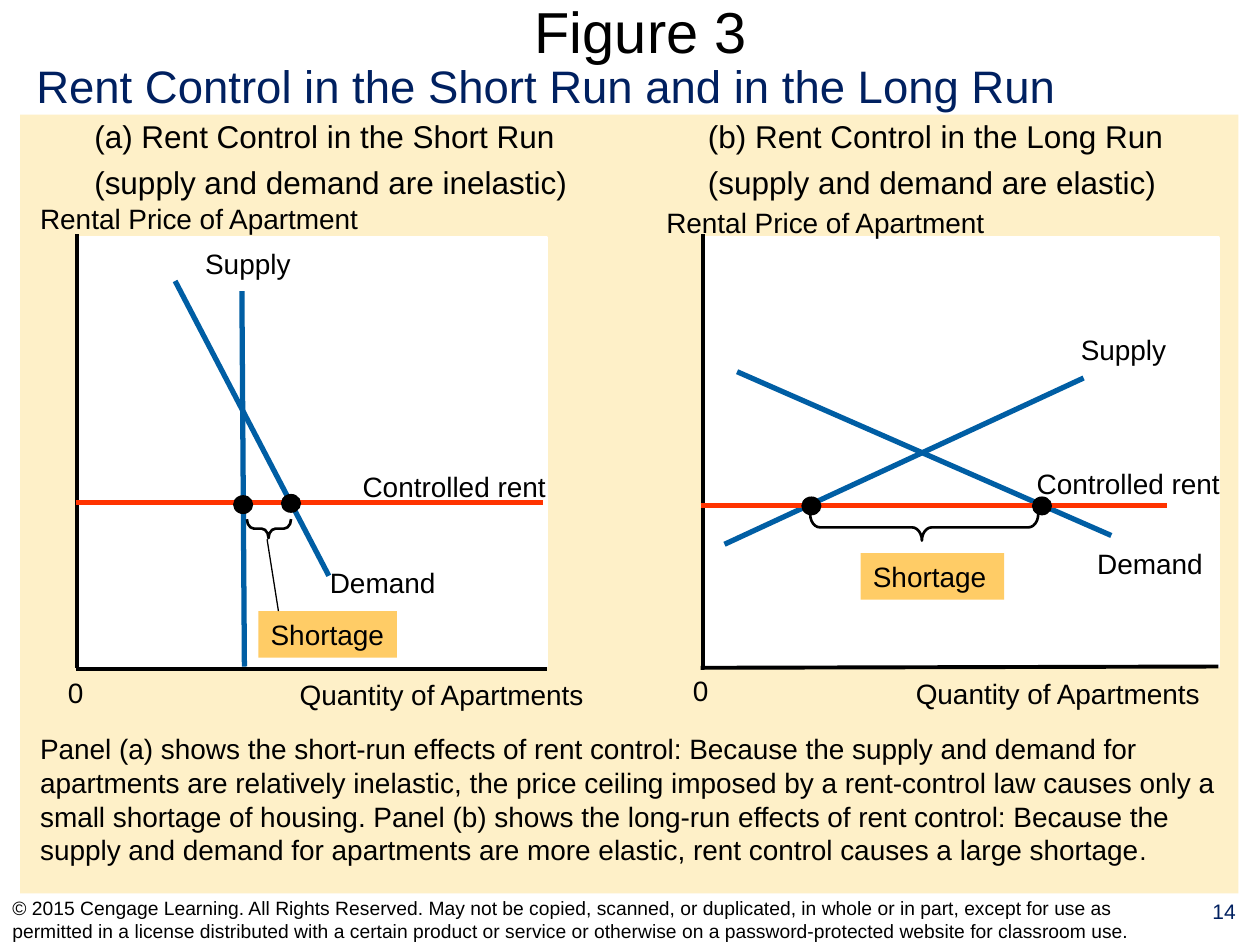
from lxml import etree
from pptx import Presentation, util as u
from pptx.dml.color import RGBColor
from pptx.enum import shapes, text
from pptx.oxml.ns import qn

PX = 9144  # EMU per px: 100 px to the inch
BLACK = RGBColor(0x00, 0x00, 0x00)
WHITE = RGBColor(0xFF, 0xFF, 0xFF)
NAVY = RGBColor(0x00, 0x20, 0x60)
BLUE = RGBColor(0x00, 0x5E, 0xA4)
RED = RGBColor(0xFF, 0x33, 0x00)
CREAM = RGBColor(0xFE, 0xF0, 0xC8)
GOLD = RGBColor(0xFF, 0xCC, 0x66)
LABEL_H = 37

# Positions are relative to the top left corner of each plot
SHORT_RUN = dict(
    heading=(4, 395, ["(a) Rent Control in the Short Run",
                      "(supply and demand are inelastic)"]),
    quantity_axis=(-1, 342, 373, 342),
    rent_line=(-1, 210, 370, 210),
    demand_line=(78, 34, 200, 268),
    supply_line=(133, 340, 131, 42),
    labels=[("Rental Price of Apartment", -39, -34, 274),
            ("Quantity of Apartments", 167, 344, 246),
            ("0", -17, 342, 32), ("Demand", 191, 255, 104),
            ("Supply", 92, 2, 88), ("Controlled rent", 217, 179, 167)],
    shortage=(144, 296, 110),
    brace=(145, 213, 15, 35),
    pointer=(160, 296, 151, 239),
    dots=[(162, 203), (124, 204)],
)
LONG_RUN = dict(
    heading=(-6, 381, ["(b) Rent Control in the Long Run",
                       "(supply and demand are elastic)"]),
    quantity_axis=(-2, 341, 409, 340),
    rent_line=(-2, 212, 368, 212),
    demand_line=(27, 106, 324, 236),
    supply_line=(17, 243, 302, 111),
    labels=[("Rental Price of Apartment", -39, -31, 274),
            ("Quantity of Apartments", 159, 343, 246),
            ("0", -18, 341, 32), ("Demand", 303, 240, 104),
            ("Supply", 290, 70, 94), ("Controlled rent", 255, 176, 167)],
    shortage=(125, 250, 114),
    brace=(165, 139, 21, 181),
    pointer=None,
    dots=[(78, 205), (261, 205)],
)


def px(*lengths):
    return [n * PX for n in lengths]


def add_run(p, words, size, color=BLACK):
    r = p.add_run()
    r.text = words
    r.font.name, r.font.size = "Arial", u.Pt(size)
    r.font.color.rgb = color


def add_text(s, box, lines, size, color=BLACK, wrap=False, align=None,
             anchor=text.MSO_ANCHOR.TOP, gap=0):
    tf = s.shapes.add_textbox(*px(*box)).text_frame
    tf.word_wrap, tf.vertical_anchor = wrap, anchor
    if not wrap:
        # A box that grows with its text keeps each line whole
        tf.auto_size = text.MSO_AUTO_SIZE.SHAPE_TO_FIT_TEXT
    for i, line in enumerate(lines):
        p = tf.paragraphs[0] if i == 0 else tf.add_paragraph()
        p.alignment = align
        if i:
            p.space_before = u.Pt(gap)
        add_run(p, line, size, color)
    return tf


def add_block(s, kind, box, fill=None, line=None, width=1.5):
    sp = s.shapes.add_shape(kind, *px(*box))
    sp.shadow.inherit = False
    if fill is None:
        sp.fill.background()
    else:
        sp.fill.solid()
        sp.fill.fore_color.rgb = fill
    if line is None:
        sp.line.fill.background()
    else:
        sp.line.color.rgb, sp.line.width = line, u.Pt(width)
    return sp


def add_line(s, x, y, ends, color, width):
    x1, y1, x2, y2 = ends
    c = s.shapes.add_connector(shapes.MSO_CONNECTOR.STRAIGHT,
                               *px(x + x1, y + y1, x + x2, y + y2))
    c.line.color.rgb, c.line.width = color, u.Pt(width)
    etree.SubElement(c._element.spPr, qn("a:effectLst"))


def header(s, x, y):
    add_text(s, (x + 16, y, 947, 49), ["Figure 3"], 33, wrap=True,
             align=text.PP_ALIGN.CENTER, anchor=text.MSO_ANCHOR.MIDDLE)
    add_text(s, (x, y + 41, 830, 54),
             ["Rent Control in the Short Run and in the Long Run"], 26, NAVY)


def shortage(s, x, y, g):
    left, top, w = g["shortage"]
    sp = add_block(s, shapes.MSO_SHAPE.RECTANGLE,
                   (x + left, y + top, w, LABEL_H), GOLD)
    tf = sp.text_frame
    tf.vertical_anchor = text.MSO_ANCHOR.TOP
    p = tf.paragraphs[0]
    p.alignment = text.PP_ALIGN.LEFT
    add_run(p, "Shortage", 16)

    # A left brace turned so that its tip points down
    left, top, w, h = g["brace"]
    brace = add_block(s, shapes.MSO_SHAPE.LEFT_BRACE,
                      (x + left, y + top, w, h), line=BLACK)
    brace.adjustments[0], brace.adjustments[1] = 0.37, 0.49
    brace.rotation = 270
    if g["pointer"]:
        add_line(s, x, y, g["pointer"], BLACK, 0.75)


def graph(s, x, y, w, h, g):
    # Plot area and axes
    add_block(s, shapes.MSO_SHAPE.RECTANGLE, (x, y, w, h), WHITE, WHITE, 2)
    add_line(s, x, y, (0, -3, 0, h + 1), BLACK, 2.25)
    add_line(s, x, y, g["quantity_axis"], BLACK, 2.25)

    # Curves and price ceiling
    for name, color in (("demand_line", BLUE), ("supply_line", BLUE),
                        ("rent_line", RED)):
        add_line(s, x, y, g[name], color, 3)

    # Heading and labels
    left, width, lines = g["heading"]
    add_text(s, (x + left, y - 101, width, 77), lines, 18, gap=4.5)
    for words, left, top, width in g["labels"]:
        add_text(s, (x + left, y + top, width, LABEL_H), [words], 16)

    shortage(s, x, y, g)
    for left, top in g["dots"]:
        add_block(s, shapes.MSO_SHAPE.OVAL, (x + left, y + top, 16, 15), BLACK)


def caption(s, box):
    tf = add_text(s, box, [
        "Panel (a) shows the short-run effects of rent control: Because the "
        "supply and demand for apartments are relatively inelastic, the price "
        "ceiling imposed by a rent-control law causes only a small shortage of "
        "housing. Panel (b) shows the long-run effects of rent control: Because "
        "the supply and demand for apartments are more elastic, rent control "
        "causes a large shortage"], 16, wrap=True)
    add_run(tf.paragraphs[0], ".", 15)


def footer(s, x, y):
    add_text(s, (x, y, 942, 40), [
        "© 2015 Cengage Learning. All Rights Reserved. May not be copied, "
        "scanned, or duplicated, in whole or in part, except for use as "
        "permitted in a license distributed with a certain product or service "
        "or otherwise on a password-protected website for classroom use."],
        11, wrap=True, anchor=text.MSO_ANCHOR.MIDDLE)
    add_text(s, (x + 943, y - 2, 57, 41), ["14"], 12, NAVY, wrap=True,
             align=text.PP_ALIGN.CENTER)


def main():
    prs = Presentation()
    prs.slide_width, prs.slide_height = px(1000, 750)
    s = prs.slides.add_slide(prs.slide_layouts[6])
    add_block(s, shapes.MSO_SHAPE.RECTANGLE, (16, 91, 967, 618), CREAM)
    header(s, 19, 0)
    graph(s, 61, 189, 373, 340, SHORT_RUN)
    graph(s, 558, 189, 409, 340, LONG_RUN)
    caption(s, (22, 576, 956, 117))
    footer(s, 0, 710)
    prs.save("out.pptx")


if __name__ == "__main__":
    main()
